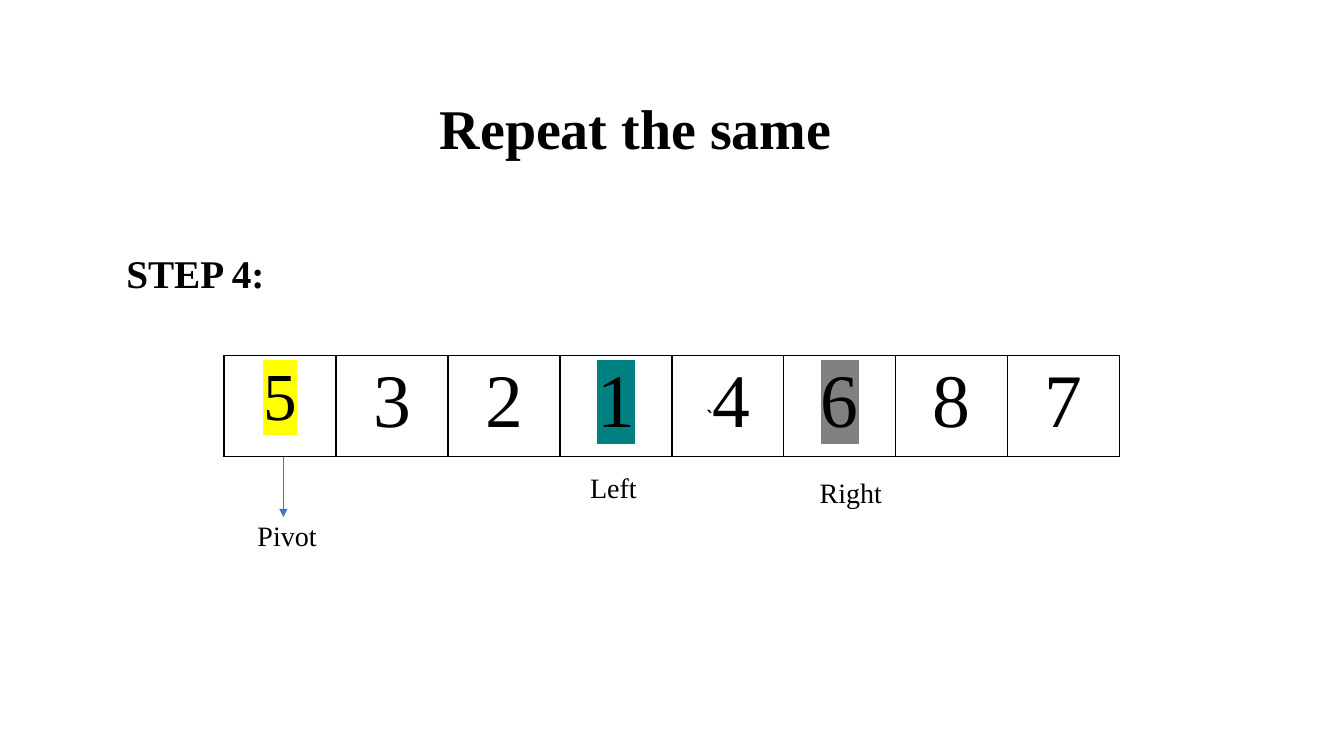
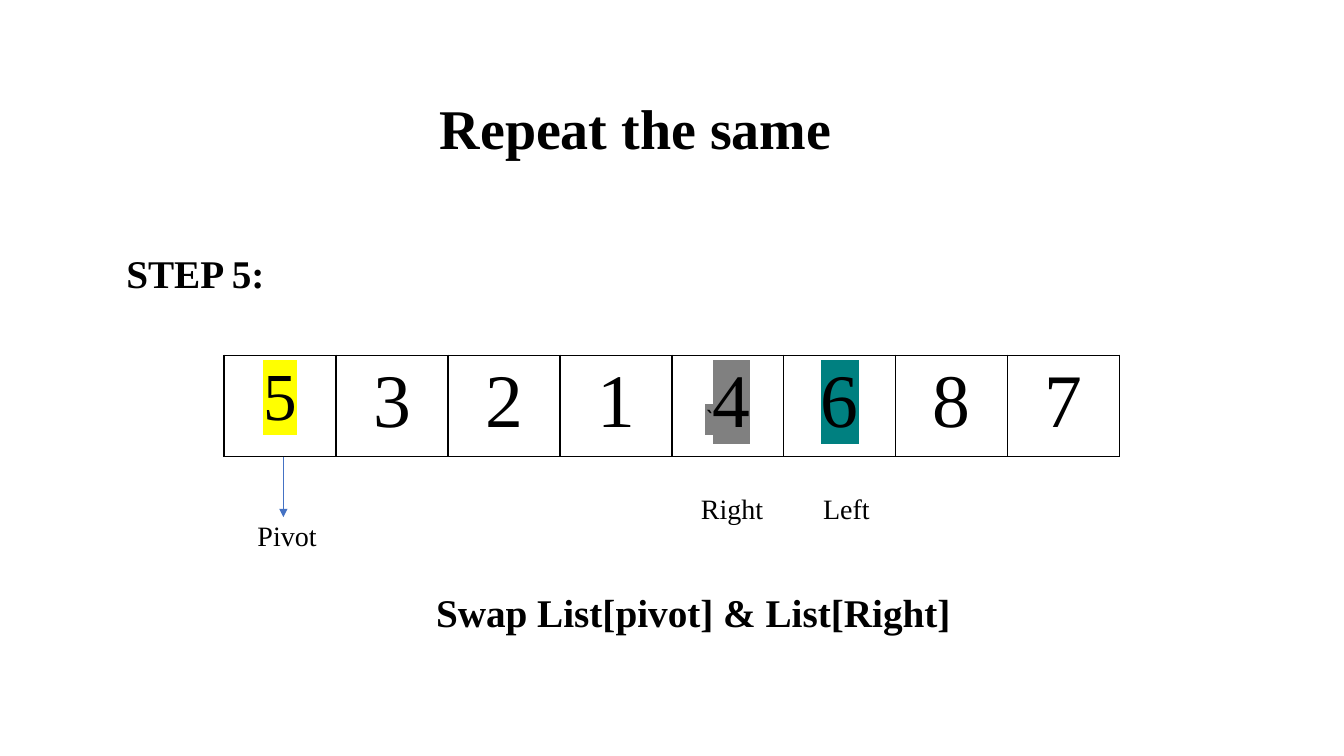
"""Build two slides that trace the last steps of a quicksort partition."""
from lxml.etree import SubElement
from pptx import Presentation
from pptx.dml.color import RGBColor
from pptx.enum.shapes import MSO_CONNECTOR
from pptx.enum.text import MSO_ANCHOR, MSO_AUTO_SIZE, PP_ALIGN
from pptx.oxml.ns import qn
from pptx.util import Inches, Pt

INK = {"text": "000000", "arrow": "4472C4", "pivot": "FFFF00",
       "left": "008080", "right": "808080"}
SERIF, SANS = "Times New Roman", "Calibri"
WIDE, HIGH = Inches(13.33), Inches(7.5)
COLS, ROWS = 12, 100


def tone(name):
    return RGBColor.from_string(INK[name])


def mark(parent, name):
    SubElement(parent, qn("a:srgbClr")).set("val", INK[name])


class Deck:
    """Holds the style and the current slide."""

    def __init__(self):
        self.show = Presentation()
        self.show.slide_width, self.show.slide_height = WIDE, HIGH
        self.slide = None

    def grid(self, col, row):
        return round(WIDE * col / COLS), round(HIGH * row / ROWS)

    def style(self, run, size, bold=False, font=SERIF, light=None):
        run.font.size, run.font.bold = Pt(size), bold
        run.font.color.rgb = tone("text")
        if light:
            mark(SubElement(run.font._element, qn("a:highlight")), light)
        run.font.name = font

    def title(self, text):
        self.slide = self.show.slides.add_slide(self.show.slide_layouts[5])
        head = self.slide.shapes.title
        head.left, head.top = self.grid(1.25, 2.4)
        head.width, head.height = self.grid(9, 20)
        frame = head.text_frame
        frame.text = text
        frame.auto_size = MSO_AUTO_SIZE.NONE
        frame.vertical_anchor = MSO_ANCHOR.BOTTOM
        para = frame.paragraphs[0]
        para.alignment, para.line_spacing = PP_ALIGN.CENTER, 0.9
        self.style(para.runs[0], 40, True)
        space = para.add_run()
        space.text = " "
        self.style(space, 48, True)

    def box(self, text, col, row, wide, high, size, bold=False):
        shape = self.slide.shapes.add_textbox(
            *self.grid(col, row), *self.grid(wide, high))
        frame = shape.text_frame
        frame.word_wrap = True
        frame.text = text
        for para in frame.paragraphs:
            self.style(para.runs[0], size, bold)
        return frame

    def body(self, step, note):
        text = f"{step}\n{note}" if note else step
        frame = self.box(text, 1.04, 33, 10.3, 57, 28, True)
        for para in frame.paragraphs:
            para.line_spacing = 0.9
        if note:
            para.alignment, para.space_before = PP_ALIGN.CENTER, Pt(212)

    def label(self, text, col, row, wide=1.09):
        self.box(text, col, row, wide, 5.9, 20)

    def edge(self, cell):
        props = cell._tc.get_or_add_tcPr()
        for side in ("lnL", "lnR", "lnT", "lnB"):
            line = SubElement(props, qn(f"a:{side}"))
            line.set("w", str(Pt(1)))
            mark(SubElement(line, qn("a:solidFill")), "text")
        cell.fill.background()

    def array(self, items, lights):
        count = len(items)
        table = self.slide.shapes.add_table(
            1, count, *self.grid(2, 47), *self.grid(count, 12.8)).table
        table.first_row = table.horz_banding = False
        for index, item in enumerate(items):
            cell, light = table.cell(0, index), lights.get(item)
            self.edge(cell)
            para = cell.text_frame.paragraphs[0]
            para.alignment = PP_ALIGN.CENTER
            if item == "4":
                tick = para.add_run()
                tick.text = "`"
                self.style(tick, 18, font=SANS, light=light)
            run = para.add_run()
            run.text = item
            self.style(run, 48 if light == "pivot" else 54, light=light)

    def arrow(self, col, top, end):
        line = self.slide.shapes.add_connector(
            MSO_CONNECTOR.STRAIGHT, *self.grid(col, top), *self.grid(col, end))
        line.line.color.rgb, line.line.width = tone("arrow"), Pt(0.5)
        SubElement(line.line._get_or_add_ln(), qn("a:tailEnd")).set("type", "triangle")
        SubElement(line._element.spPr, qn("a:effectLst"))

    def step(self, name, lights, labels, note=None):
        self.title("Repeat the same")
        self.body(name, note)
        self.array("53214687", {"5": "pivot", **lights})
        self.arrow(2.53, 60.4, 68.4)
        self.label("Pivot", 2.21, 67.9, 0.9)
        for text, col, row in labels:
            self.label(text, col, row)


deck = Deck()
deck.step("STEP 4:", {"1": "left", "6": "right"},
          [("Left", 5.18, 61.6), ("Right", 7.23, 62.3)])
deck.step("STEP 5:", {"6": "left", "4": "right"},
          [("Left", 7.26, 64.4), ("Right", 6.17, 64.4)],
          "Swap List[pivot] & List[Right]")
deck.show.save("out.pptx")
